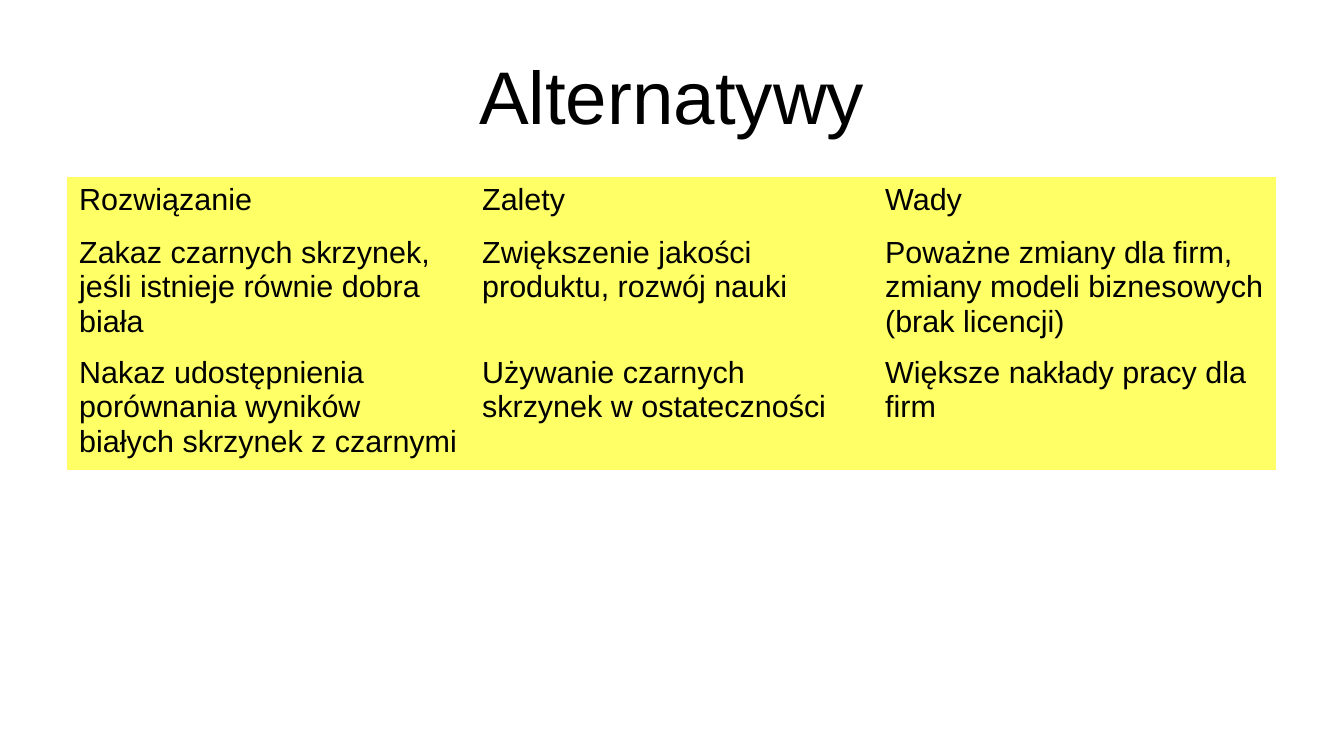
from pptx import Presentation
from pptx.dml.color import RGBColor
from pptx.enum.text import MSO_ANCHOR, PP_ALIGN
from pptx.oxml.ns import qn
from pptx.util import Pt

TITLE = "Alternatywy"
ROWS = [
    ("Rozwiązanie", "Zalety", "Wady"),
    ("Zakaz czarnych skrzynek, jeśli istnieje równie dobra biała",
     "Zwiększenie jakości produktu, rozwój nauki",
     "Poważne zmiany dla firm, zmiany modeli biznesowych (brak licencji)"),
    ("Nakaz udostępnienia porównania wyników białych skrzynek z czarnymi",
     "Używanie czarnych skrzynek w ostateczności",
     "Większe nakłady pracy dla firm"),
]

COLORS = {"text": "000000", "cell": "FFFF66"}
SCALE = 914400 / 122
SIZE = (1344, 756)
LEFT, WIDTH = 67, 1210
HEAD_TOP, HEAD_TALL = 31, 127
GRID_TOP = 177
COL_WIDE = WIDTH // len(ROWS[0])
ROW_TALL = (53, 120, 120)
NO_GRID = "{2D5ABB26-0587-4C30-8999-92F81FD0307C}"


def px(count):
    return round(count * SCALE)


def color(name):
    return RGBColor.from_string(COLORS[name])


def style(frame, size):
    font = frame.paragraphs[0].font
    font.color.rgb = color("text")
    for key, value in {"name": "Arial", "size": Pt(size), "bold": False}.items():
        setattr(font, key, value)


def add_title(slide):
    title = slide.shapes.title
    box = {"left": LEFT, "top": HEAD_TOP, "width": WIDTH, "height": HEAD_TALL}
    for key, value in box.items():
        setattr(title, key, px(value))
    frame = title.text_frame
    frame.text = TITLE
    look = {"margin_left": 0, "margin_top": 0, "margin_right": 0,
            "margin_bottom": 0, "vertical_anchor": MSO_ANCHOR.MIDDLE}
    for key, value in look.items():
        setattr(frame, key, value)
    frame.paragraphs[0].alignment = PP_ALIGN.CENTER
    style(frame, 44)


def add_grid(slide):
    box = (LEFT, GRID_TOP, WIDTH, sum(ROW_TALL))
    grid = slide.shapes.add_table(len(ROWS), len(ROWS[0]), *map(px, box)).table
    grid.first_row = grid.horz_banding = False
    grid._tbl.tblPr.find(qn("a:tableStyleId")).text = NO_GRID
    for col in grid.columns:
        col.width = px(COL_WIDE)
    for r, (tall, texts) in enumerate(zip(ROW_TALL, ROWS)):
        grid.rows[r].height = px(tall)
        for c, text in enumerate(texts):
            cell = grid.cell(r, c)
            cell.text = text
            cell.fill.solid()
            cell.fill.fore_color.rgb = color("cell")
            style(cell.text_frame, 18)


def main():
    deck = Presentation()
    deck.slide_width, deck.slide_height = map(px, SIZE)
    slide = deck.slides.add_slide(deck.slide_layouts.get_by_name("Title Only"))
    add_title(slide)
    add_grid(slide)
    deck.save("out.pptx")


if __name__ == "__main__":
    main()
